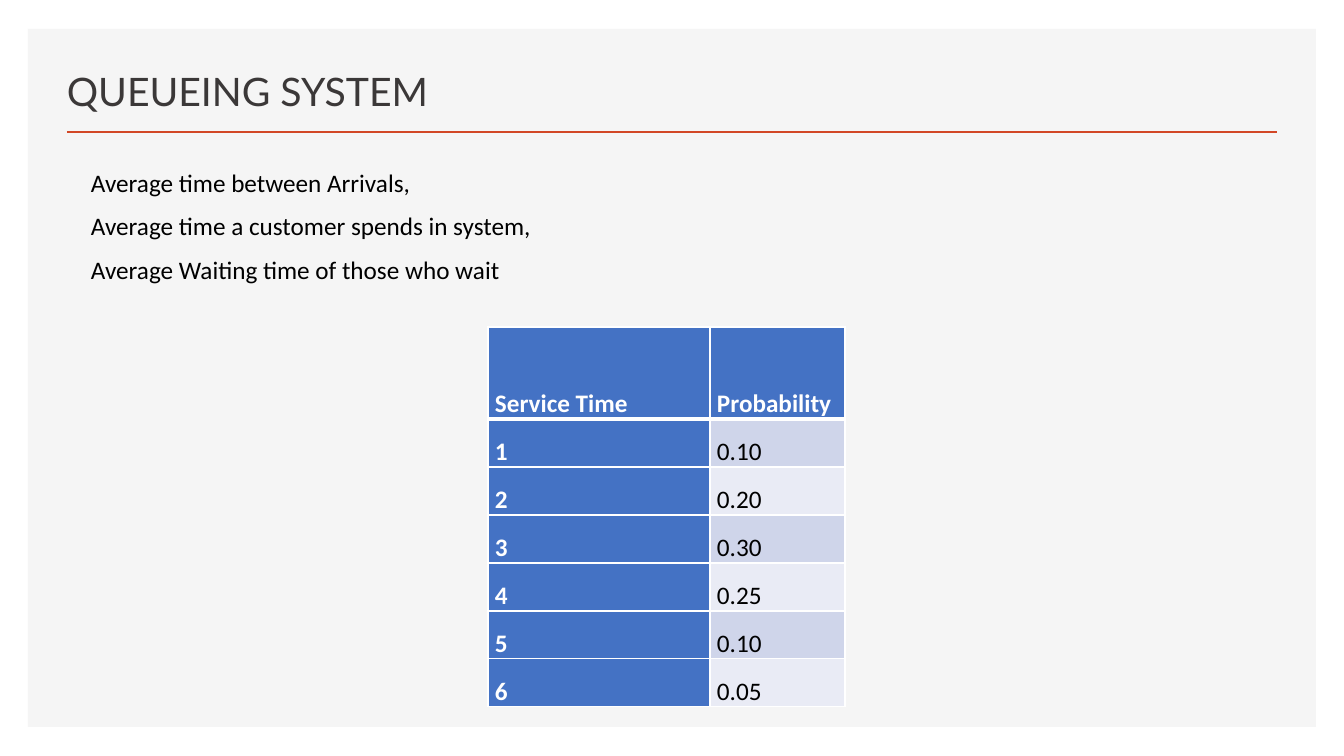
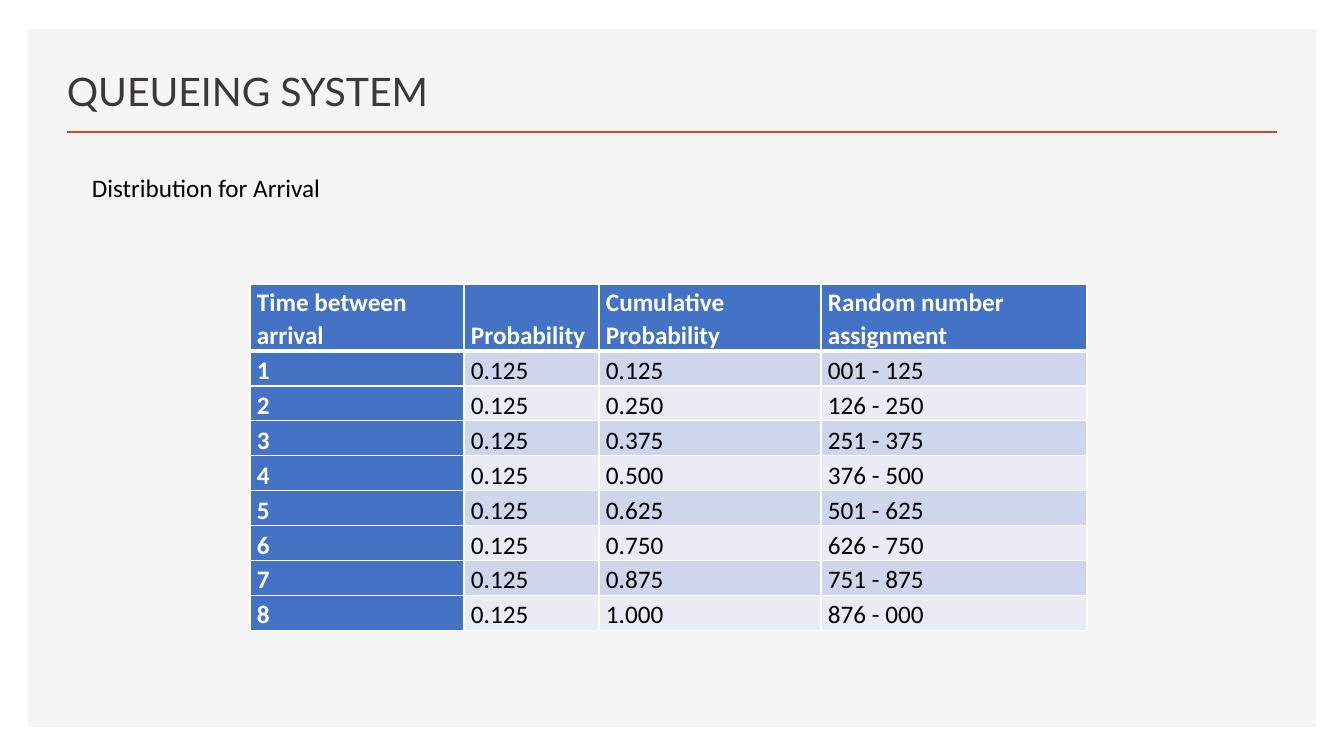
from lxml.etree import SubElement
from pptx import Presentation
from pptx.dml.color import RGBColor
from pptx.enum.shapes import MSO_CONNECTOR, MSO_SHAPE
from pptx.enum.text import MSO_ANCHOR
from pptx.oxml.ns import qn
from pptx.util import Emu, Pt

EMU_PER_PIXEL = 914400 / 100.8
WHITE, BLACK = "FFFFFF", "000000"
PANEL, ACCENT, TITLE_COLOR = "F5F5F5", "D24726", "3B3838"
HEADER_FILL, BAND_FILLS = "4472C4", ("CFD5EA", "E9EBF5")

TITLE_FONT = {"name": "Lato", "size": Pt(28), "bold": False}
BODY_FONT = {"name": "Calibri", "size": Pt(18), "bold": False}
HEADER_FONT = {**BODY_FONT, "bold": True}
TITLE_SPACING = {"line_spacing": 0.9}
BODY_SPACING = {"line_spacing": 1.07, "space_after": Pt(8)}
CELL_SPACING = {"line_spacing": 1.07, "space_after": Pt(0)}


def px(pixels):
    """Turn pixels into EMU."""
    return Emu(round(pixels * EMU_PER_PIXEL))


def color(hex_code):
    """Turn a hex string into a colour."""
    return RGBColor.from_string(hex_code)


def set_attributes(target, values):
    """Set every attribute named in a dict of format values."""
    for name, value in values.items():
        setattr(target, name, value)


def write_lines(text_frame, lines, font, font_color, spacing):
    """Write one formatted paragraph per line."""
    for index, line in enumerate(lines):
        paragraph = text_frame.add_paragraph() if index else text_frame.paragraphs[0]
        set_attributes(paragraph, spacing)
        run = paragraph.add_run()
        run.text = line
        set_attributes(run.font, font)
        run.font.color.rgb = color(font_color)


def add_text(slide, box, lines, font, font_color, spacing, anchor=MSO_ANCHOR.TOP):
    """Add a wrapping text box."""
    text_frame = slide.shapes.add_textbox(*map(px, box)).text_frame
    set_attributes(text_frame, {"word_wrap": True, "vertical_anchor": anchor})
    write_lines(text_frame, lines, font, font_color, spacing)


def add_panel(slide, box, fill_color):
    """Add a plain filled rectangle."""
    shape = slide.shapes.add_shape(MSO_SHAPE.RECTANGLE, *map(px, box))
    shape.shadow.inherit = False
    shape.fill.solid()
    shape.fill.fore_color.rgb = color(fill_color)
    shape.line.fill.background()


def add_rule(slide, left, right, top, line_color, width):
    """Add a horizontal line without a shadow."""
    connector = slide.shapes.add_connector(
        MSO_CONNECTOR.STRAIGHT, px(left), px(top), px(right), px(top))
    connector.line.color.rgb = color(line_color)
    connector.line.width = Pt(width)
    SubElement(connector._element.spPr, qn("a:effectLst"))


def add_borders(cell, widths):
    """Draw white cell borders; widths map a side (L, R, T, B) to points."""
    properties = cell._tc.get_or_add_tcPr()
    for side, width in widths.items():
        line = SubElement(properties, qn(f"a:ln{side}"), w=str(Pt(width)))
        fill = SubElement(line, qn("a:solidFill"))
        SubElement(fill, qn("a:srgbClr"), val=WHITE)


def format_cell(cell, text, row, column):
    """Fill, border and write one cell according to its place."""
    is_header = row == 0 or column == 0
    set_attributes(cell, {"margin_left": px(7), "margin_right": px(7),
                          "margin_top": 0, "margin_bottom": 0,
                          "vertical_anchor": MSO_ANCHOR.BOTTOM})
    add_borders(cell, {"L": 1, "R": 1, "T": 3 if row == 1 else 1,
                       "B": 3 if row == 0 else 1})
    cell.fill.solid()
    cell.fill.fore_color.rgb = color(
        HEADER_FILL if is_header else BAND_FILLS[(row - 1) % 2])
    write_lines(cell.text_frame, [text], HEADER_FONT if is_header else BODY_FONT,
                WHITE if is_header else BLACK, CELL_SPACING)


def add_data_table(slide, left, top, column_widths, header_height, row_height, rows):
    """Add a table with a header row, a header column and banded values."""
    heights = [header_height] + [row_height] * (len(rows) - 1)
    table = slide.shapes.add_table(
        len(rows), len(column_widths), px(left), px(top),
        px(sum(column_widths)), px(sum(heights))).table
    table.first_col = True
    for column, width in zip(table.columns, column_widths):
        column.width = px(width)
    for table_row, height in zip(table.rows, heights):
        table_row.height = px(height)
    for row, values in enumerate(rows):
        for column, text in enumerate(values):
            format_cell(table.cell(row, column), text, row, column)


def add_base_slide(presentation, title):
    """Add a slide with the shared panel, title and rule."""
    slide = presentation.slides.add_slide(presentation.slide_layouts[6])
    add_panel(slide, (28, 29, 1288, 698), PANEL)
    add_rule(slide, 67, 1277, 132, ACCENT, 2)
    add_text(slide, (57, 49, 758, 71), [title], TITLE_FONT, TITLE_COLOR,
             TITLE_SPACING, MSO_ANCHOR.BOTTOM)
    return slide


def add_service_slide(presentation):
    """Build the slide with the service time distribution."""
    slide = add_base_slide(presentation, "QUEUEING SYSTEM")
    add_text(slide, (81, 160, 1184, 261),
             ["Average time between Arrivals,",
              "Average time a customer spends in system,",
              "Average Waiting time of those who wait"],
             BODY_FONT, BLACK, BODY_SPACING)
    probabilities = ["0.10", "0.20", "0.30", "0.25", "0.10", "0.05"]
    rows = [("Service Time", "Probability")]
    rows += [(str(time), value) for time, value in enumerate(probabilities, 1)]
    add_data_table(slide, 488, 327, [222, 135], 92, 48, rows)


def add_arrival_slide(presentation):
    """Build the slide with the arrival distribution."""
    slide = add_base_slide(presentation, "QUEUEING SYSTEM")
    add_text(slide, (82, 165, 1132, 41), ["Distribution for Arrival"],
             BODY_FONT, BLACK, BODY_SPACING)
    step = 125
    rows = [("Time between arrival", "Probability",
             "Cumulative Probability", "Random number assignment")]
    for time in range(1, 9):
        last = step * time
        rows.append((str(time), f"{step / 1000:.3f}", f"{last / 1000:.3f}",
                     f"{last - step + 1:03d} - {last % 1000:03d}"))
    add_data_table(slide, 250, 284, [214, 135, 222, 266], 67, 35, rows)


def main():
    """Build and save the presentation."""
    presentation = Presentation()
    set_attributes(presentation, {"slide_width": px(1344), "slide_height": px(756)})
    add_service_slide(presentation)
    add_arrival_slide(presentation)
    presentation.save("out.pptx")


main()
